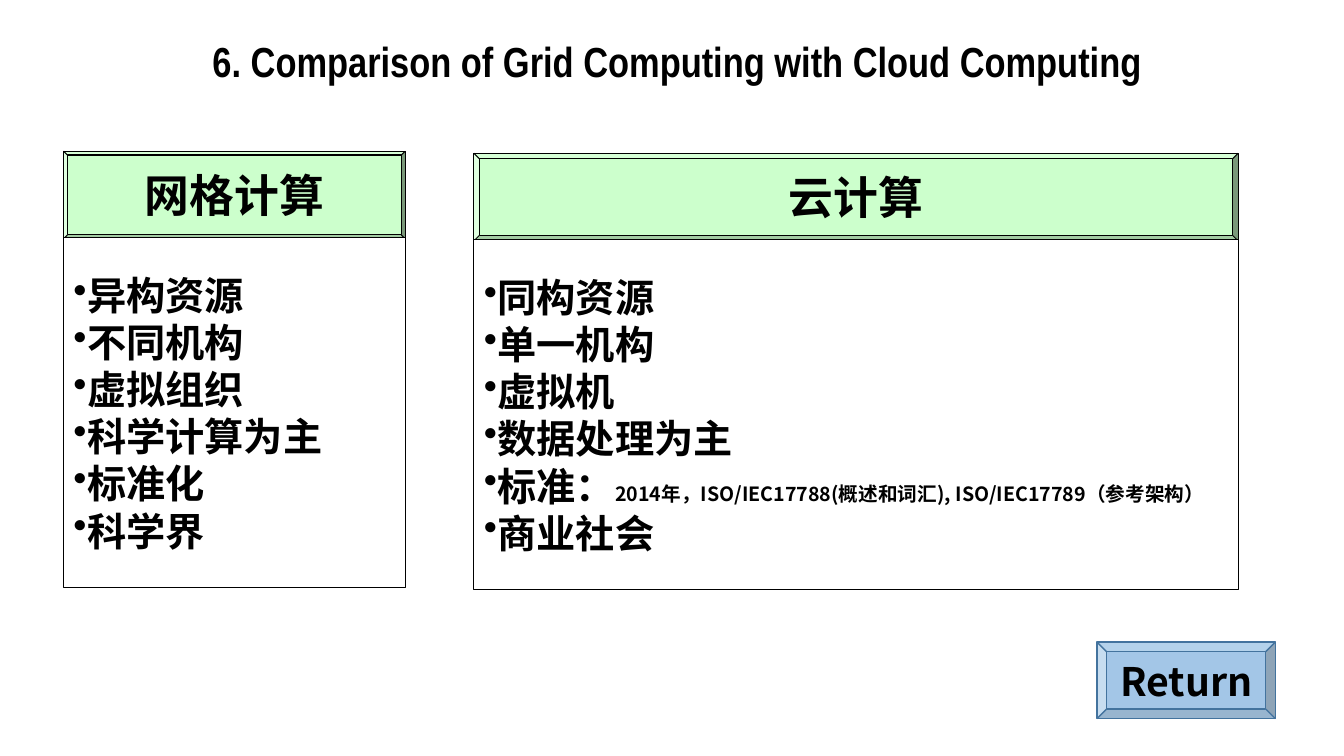
from dataclasses import dataclass

from lxml import etree
from pptx import Presentation
from pptx.dml.color import RGBColor
from pptx.enum.shapes import MSO_SHAPE
from pptx.enum.text import MSO_ANCHOR, PP_ALIGN
from pptx.oxml.ns import qn
from pptx.util import Pt

BEVEL = MSO_SHAPE.BEVEL
RECTANGLE = MSO_SHAPE.RECTANGLE
MIDDLE = MSO_ANCHOR.MIDDLE
CENTER = PP_ALIGN.CENTER
LEFT = PP_ALIGN.LEFT
EMU_PER_PX = 9144


@dataclass(frozen=True)
class Theme:
    ink: str = "000000"
    paper: str = "FFFFFF"
    header: str = "CCFFCC"
    button: str = "5B9BD5"
    button_line: str = "43739E"
    button_alpha: int = 56
    title_font: str = "Arial Narrow"
    body_font: str = "Noto Sans CJK SC"
    title_size: int = 30
    header_size: int = 32
    body_size: int = 28
    note_size: int = 14


THEME = Theme()
HEADER_HEIGHT = 87
LIST_OFFSET = 86
LIST_HEIGHT = 347

PANELS = [
    (63, 150, 339, 0.044, "网格计算",
     [["异构资源"], ["不同机构"], ["虚拟组织"], ["科学计算为主"], ["标准化"], ["科学界"]]),
    (470, 152, 758, 0.06, "云计算",
     [["同构资源"], ["单一机构"], ["虚拟机"], ["数据处理为主"],
      ["标准：", "2014年，ISO/IEC17788(概述和词汇), ISO/IEC17789（参考架构）"],
      ["商业社会"]]),
]


def px(*lengths):
    return [length * EMU_PER_PX for length in lengths]


def add_span(para, text, size, font_name=THEME.body_font):
    span = para.add_run()
    span.text = text
    span.font.size = Pt(size)
    span.font.bold = True
    span.font.name = font_name
    span.font.color.rgb = RGBColor.from_string(THEME.ink)
    latin = span.font._element.find(qn("a:latin"))
    east_asian = etree.Element(qn("a:ea"), typeface=font_name)
    latin.addnext(east_asian)


def add_shape(page, kind, area, fill, line, line_width=0.75):
    shape = page.shapes.add_shape(kind, *px(*area))
    shape.shadow.inherit = False
    shape.fill.solid()
    shape.fill.fore_color.rgb = RGBColor.from_string(fill)
    shape.line.color.rgb = RGBColor.from_string(line)
    shape.line.width = Pt(line_width)
    return shape


def add_label(box, text, size, font_name=THEME.body_font, wrap=True):
    frame = box.text_frame
    frame.word_wrap = wrap
    frame.vertical_anchor = MIDDLE
    para = frame.paragraphs[0]
    para.alignment = CENTER
    add_span(para, text, size, font_name)


def add_title(page, text):
    box = page.shapes.add_textbox(*px(197, 22, 950, 77))
    add_label(box, text, THEME.title_size, THEME.title_font)


def add_header(page, area, depth, text):
    header = add_shape(page, BEVEL, area, THEME.header, THEME.ink)
    header.adjustments[0] = depth
    add_label(header, text, THEME.header_size, wrap=False)


def add_list(page, area, items):
    box = add_shape(page, RECTANGLE, area, THEME.paper, THEME.ink)
    frame = box.text_frame
    frame.word_wrap = False
    frame.vertical_anchor = MIDDLE
    for index, (term, *notes) in enumerate(items):
        para = frame.add_paragraph() if index else frame.paragraphs[0]
        para.alignment = LEFT
        etree.SubElement(para._p.get_or_add_pPr(), qn("a:buChar"), char="•")
        add_span(para, term, THEME.body_size)
        for note in notes:
            add_span(para, note, THEME.note_size)


def add_button(page, area, text):
    button = add_shape(page, BEVEL, area, THEME.button, THEME.button_line, 1)
    color = button.fill._xPr.find(qn("a:solidFill"))[0]
    etree.SubElement(color, qn("a:alpha"), val=str(THEME.button_alpha * 1000))
    add_label(button, text, THEME.body_size)


def main():
    deck = Presentation()
    deck.slide_width, deck.slide_height = px(1333, 750)
    page = deck.slides.add_slide(deck.slide_layouts[6])
    for left, top, width, depth, heading, items in PANELS:
        add_header(page, (left, top, width, HEADER_HEIGHT), depth, heading)
        add_list(page, (left, top + LIST_OFFSET, width, LIST_HEIGHT), items)
    add_title(page, "6. Comparison of Grid Computing with Cloud Computing")
    add_button(page, (1088, 637, 177, 76), "Return")
    deck.save("out.pptx")


if __name__ == "__main__":
    main()
